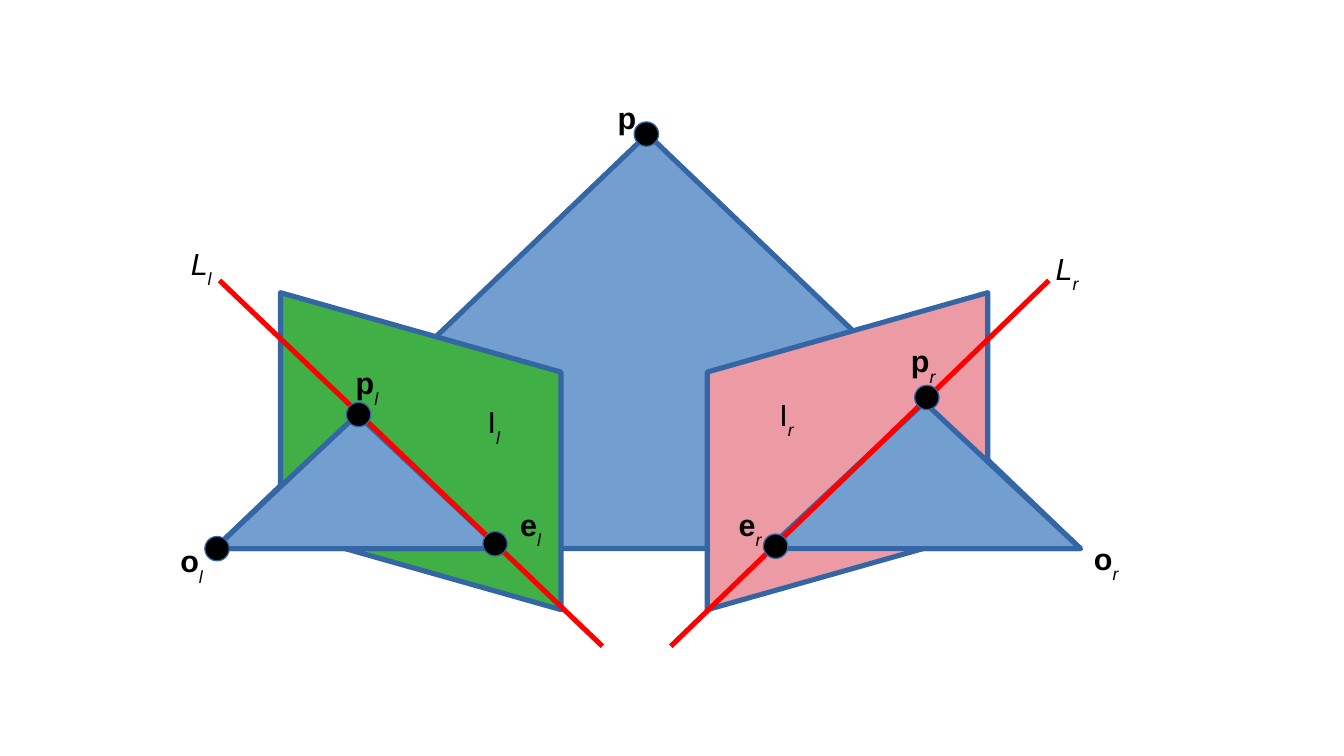
from dataclasses import dataclass

import pptx
import pptx.dml.color
import pptx.enum.shapes
import pptx.enum.text
import pptx.oxml.ns
import pptx.oxml.xmlchemy
import pptx.util
from pptx.util import Inches

SHAPES = pptx.enum.shapes.MSO_SHAPE
ALIGN = pptx.enum.text.PP_ALIGN


@dataclass(frozen=True)
class Theme:
    font: str = "Arial"
    text_size: float = 18
    outline_width: float = 3
    ink: str = "000000"
    outline: str = "3465A4"
    epipolar_plane: str = "729FCF"
    left_view: str = "3FAF46"
    right_view: str = "EC9BA4"
    epipolar_line: str = "FF0000"


@dataclass(frozen=True)
class Box:
    left: float
    top: float
    width: float
    height: float

    def lengths(self) -> tuple:
        return tuple(map(Inches, (self.left, self.top, self.width, self.height)))


@dataclass(frozen=True)
class View:
    image_left: float
    fill: str
    rotation: float
    mirrored: bool
    triangle: Box
    line_start: tuple[float, float]
    line_end: tuple[float, float]


@dataclass(frozen=True)
class Label:
    letter: str
    subscript: str
    left: float
    top: float
    bold: bool = True
    italic: bool = False
    align: ALIGN = ALIGN.CENTER
    width: float = 0.5
    height: float = 0.44


THEME = Theme()
DOT_SIZE = 0.2

VIEWS = [
    View(2.15, THEME.left_view, 270, False, Box(1.76, 3.4, 2.34, 1.1), (1.8, 2.3), (4.94, 5.3)),
    View(5.65, THEME.right_view, 90, True, Box(6.3, 3.3, 2.56, 1.2), (8.6, 2.3), (5.5, 5.3)),
]

POINTS = [(5.2, 1), (2.84, 3.3), (1.68, 4.4), (3.96, 4.36), (7.5, 3.16), (6.26, 4.38)]

LABELS = [
    Label("p", "", 4.94, 0.76, width=0.4, height=0.38),
    Label("o", "l", 1.38, 4.4, align=ALIGN.LEFT),
    Label("p", "l", 2.76, 2.94),
    Label("o", "r", 8.82, 4.38),
    Label("e", "l", 4.1, 4.1),
    Label("p", "r", 7.32, 2.76),
    Label("e", "r", 5.9, 4.1),
    Label("L", "l", 1.4, 1.96, bold=False, italic=True),
    Label("L", "r", 8.5, 2, bold=False, italic=True),
    Label("I", "l", 3.8, 3.26, bold=False),
    Label("I", "r", 6.2, 3.2, bold=False),
]


def rgb(color: str) -> pptx.dml.color.RGBColor:
    return pptx.dml.color.RGBColor.from_string(color)


def draw_shape(slide, kind: SHAPES, box: Box, fill: str, line_width: float = THEME.outline_width):
    shape = slide.shapes.add_shape(kind, *box.lengths())
    shape.shadow.inherit = False
    shape.fill.solid()
    shape.fill.fore_color.rgb = rgb(fill)
    shape.line.color.rgb = rgb(THEME.outline)
    shape.line.width = pptx.util.Pt(line_width)
    return shape


def add_text(paragraph, text: str, *, bold: bool = False, italic: bool = False, baseline: int = 0) -> None:
    run = paragraph.add_run()
    run.text = text
    run.font.name = THEME.font
    run.font.size = pptx.util.Pt(THEME.text_size)
    run.font.color.rgb = rgb(THEME.ink)
    run.font.bold = bold
    run.font.italic = italic
    if baseline:
        run.font._element.set("baseline", str(baseline * 1000))


def draw_view(slide, view: View) -> None:
    image = draw_shape(slide, SHAPES.PARALLELOGRAM, Box(view.image_left, 2.55, 2.6, 2.3), view.fill)
    image.adjustments[0] = 0.283
    image.rotation = view.rotation
    if view.mirrored:
        image.element.spPr.find(pptx.oxml.ns.qn("a:xfrm")).set("flipH", "1")

    draw_shape(slide, SHAPES.ISOSCELES_TRIANGLE, view.triangle, THEME.epipolar_plane)

    epipolar_line = slide.shapes.add_connector(
        pptx.enum.shapes.MSO_CONNECTOR.STRAIGHT,
        *map(Inches, view.line_start + view.line_end),
    )
    epipolar_line.line.color.rgb = rgb(THEME.epipolar_line)
    epipolar_line.line.width = pptx.util.Pt(THEME.outline_width)
    properties = epipolar_line.element.spPr
    properties.append(pptx.oxml.xmlchemy.OxmlElement("a:effectLst"))


def draw_label(slide, label: Label) -> None:
    box = Box(label.left, label.top, label.width, label.height)
    frame = slide.shapes.add_textbox(*box.lengths()).text_frame
    frame.word_wrap = True
    frame.auto_size = pptx.enum.text.MSO_AUTO_SIZE.SHAPE_TO_FIT_TEXT
    paragraph = frame.paragraphs[0]
    paragraph.alignment = label.align
    add_text(paragraph, label.letter, bold=label.bold, italic=label.italic)
    if label.subscript:
        add_text(paragraph, label.subscript, italic=True, baseline=-33)


def main() -> None:
    presentation = pptx.Presentation()
    presentation.slide_width = Inches(11.02)
    presentation.slide_height = Inches(6.2)
    slide = presentation.slides.add_slide(presentation.slide_layouts[6])

    draw_shape(slide, SHAPES.ISOSCELES_TRIANGLE, Box(1.76, 1.1, 7.1, 3.4), THEME.epipolar_plane)
    for view in VIEWS:
        draw_view(slide, view)
    for left, top in POINTS:
        draw_shape(slide, SHAPES.OVAL, Box(left, top, DOT_SIZE, DOT_SIZE), THEME.ink, line_width=0)
    for label in LABELS:
        draw_label(slide, label)

    presentation.save("out.pptx")


if __name__ == "__main__":
    main()
